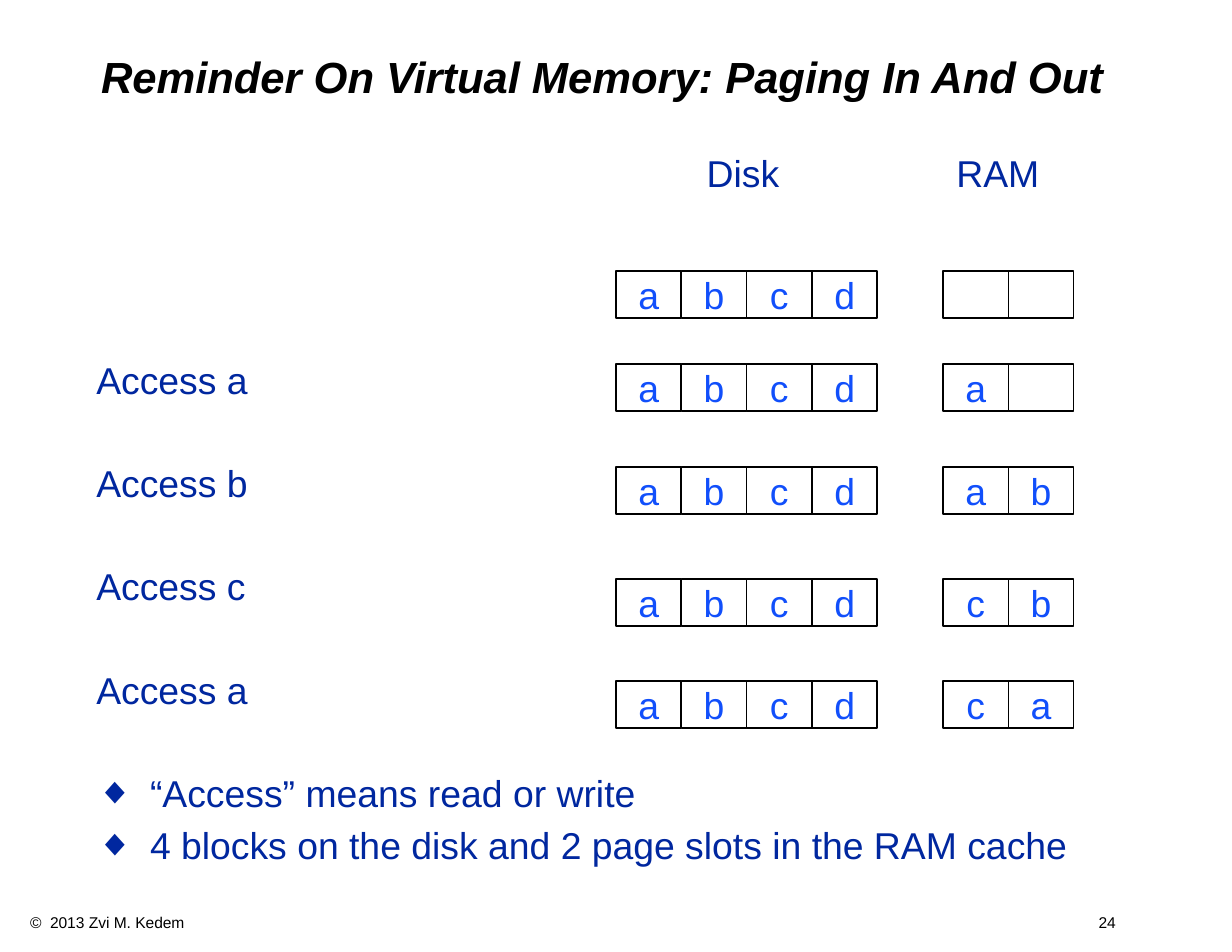
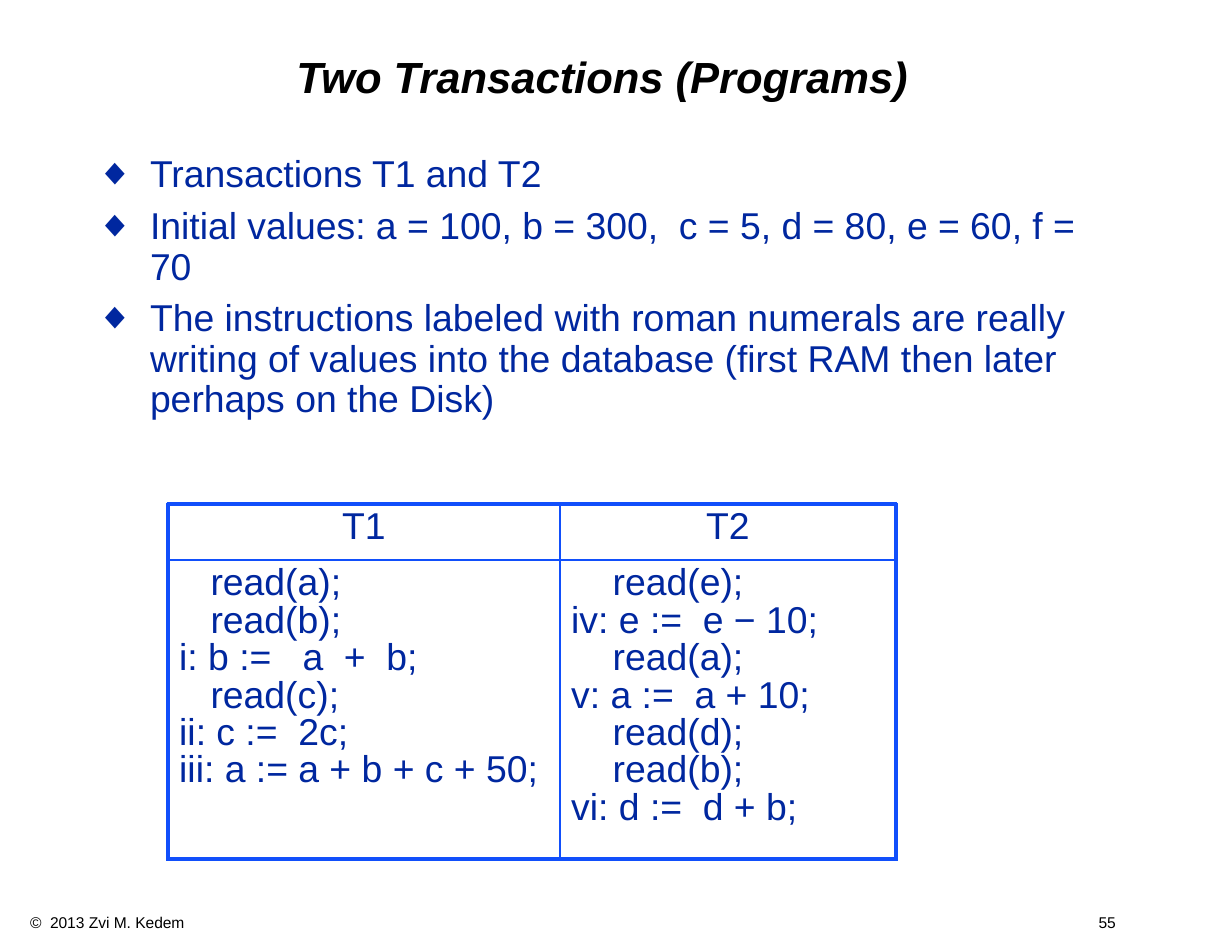
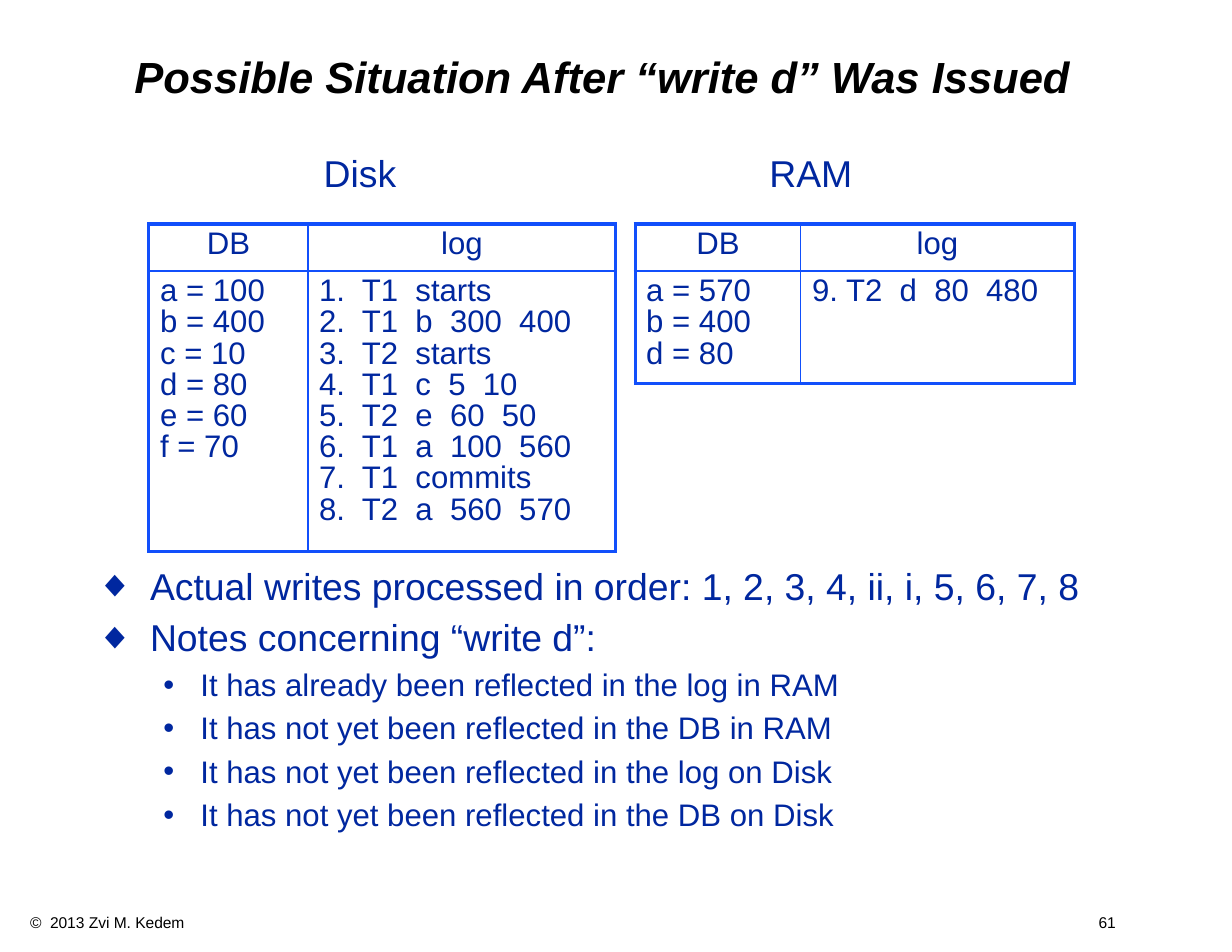
from lxml.etree import SubElement
from pptx import Presentation
from pptx.dml.color import RGBColor
from pptx.enum.shapes import MSO_SHAPE
from pptx.enum.text import MSO_ANCHOR, PP_ALIGN
from pptx.oxml.ns import qn
from pptx.util import Inches, Pt

BLACK, NAVY, BLUE = "000000", "00279F", "114FFB"
BODY_PITCH = 33.1
MARGINS = {"margin_left": 0.11, "margin_right": 0.11, "margin_top": 0.06, "margin_bottom": 0.06}
TITLE = {"size": Pt(28), "bold": True, "italic": True}
KINDS = {
    "plain": {"size": 24, "before": 7.4, "level": 0, "left": 0, "hang": 0, "bullet": None},
    "point": {"size": 24, "before": 7.4, "level": 0, "left": 0.48, "hang": 0.48, "bullet": "◆"},
    "detail": {"size": 20, "before": 6.2, "level": 1, "left": 0.93, "hang": 0.33, "bullet": "•"},
}


def write(para, text, color, font, tabs=(), **layout):
    for name, value in layout.items():
        setattr(para, name, value)
    span = para.add_run()
    span.text = text
    span.font.name = "Arial"
    span.font.color.rgb = RGBColor.from_string(color)
    for name, value in font.items():
        setattr(span.font, name, value)
    if tabs:
        stops = SubElement(para._p.get_or_add_pPr(), qn("a:tabLst"))
        for position in tabs:
            SubElement(stops, qn("a:tab"), pos=str(Inches(position)), algn="l")


def add_frame(page, left, top, width, height, margins):
    box = page.shapes.add_textbox(Inches(left), Inches(top), Inches(width), Inches(height))
    frame = box.text_frame
    frame.word_wrap = True
    for name, value in margins.items():
        setattr(frame, name, Inches(value))
    return frame


pages = [
    {
        "title": "Reminder On Virtual Memory: Paging In And Out",
        "number": 24,
        "tabs": (5.45, 7.68),
        "body": [
            ("plain", 0, "\tDisk\tRAM"),
            ("plain", 3, "Access a"),
            ("plain", 1, "Access b"),
            ("plain", 1, "Access c"),
            ("plain", 1, "Access a"),
            ("point", 1, "“Access” means read or write"),
            ("point", 0, "4 blocks on the disk and 2 page slots in the RAM cache"),
        ],
        "memory": [(2.42, " "), (3.25, "a "), (4.17, "ab"), (5.17, "cb"), (6.08, "ca")],
        "tables": [],
    },
    {
        "title": "Two Transactions (Programs)",
        "number": 55,
        "tabs": (),
        "body": [
            ("point", 0, "Transactions T1 and T2"),
            ("point", 0, "Initial values: a = 100, b = 300,  c = 5, d = 80, e = 60, f = 70"),
            ("point", 0, "The instructions labeled with roman numerals are really writing of values "
                         "into the database (first RAM then later perhaps on the Disk)"),
        ],
        "memory": [],
        "tables": [
            {
                "at": (1.5, 4.5), "columns": (3.5, 3), "rows": (0.5, 2.67), "size": 24,
                "indents": (0.28, 0.37), "headings": ("T1", "T2"),
                "cells": (
                    ["read(a);", "read(b);", "i: b :=   a  +  b;", "read(c);", "ii: c :=  2c;",
                     "iii: a := a + b + c + 50;"],
                    ["read(e);", "iv: e :=  e − 10;", "read(a);", "v: a :=  a + 10;", "read(d);",
                     "read(b);", "vi: d :=  d + b;"],
                ),
            },
        ],
    },
    {
        "title": "Possible Situation After “write d” Was Issued",
        "number": 61,
        "tabs": (2.03, 6.01),
        "body": [
            ("plain", 0, "\tDisk\tRAM"),
            ("point", 7, "Actual writes processed in order: 1, 2, 3, 4, ii, i, 5, 6, 7, 8"),
            ("point", 0, "Notes concerning “write d”:"),
            ("detail", 0, "It has already been reflected in the log in RAM"),
            ("detail", 0, "It has not yet been reflected in the DB in RAM"),
            ("detail", 0, "It has not yet been reflected in the log on Disk"),
            ("detail", 0, "It has not yet been reflected in the DB on Disk"),
        ],
        "memory": [],
        "tables": [
            {
                "at": (5.67, 2), "columns": (1.48, 2.44), "rows": (0.42, 0.96), "size": 20,
                "indents": (0, 0), "headings": ("DB", "log"),
                "cells": (["a = 570", "b = 400", "d = 80"], ["9. T2  d  80  480"]),
            },
            {
                "at": (1.33, 2), "columns": (1.42, 2.75), "rows": (0.42, 2.34), "size": 20,
                "indents": (0, 0), "headings": ("DB", "log"),
                "cells": (
                    ["a = 100", "b = 400", "c = 10", "d = 80", "e = 60", "f = 70"],
                    ["1.  T1  starts", "2.  T1  b  300  400", "3.  T2  starts", "4.  T1  c  5  10",
                     "5.  T2  e  60  50", "6.  T1  a  100  560", "7.  T1  commits",
                     "8.  T2  a  560  570"],
                ),
            },
        ],
    },
]

deck = Presentation()
deck.slide_width, deck.slide_height = Inches(11), Inches(8.5)

for content in pages:
    page = deck.slides.add_slide(deck.slide_layouts[6])

    footer = add_frame(page, 0.17, 8.1, 10.34, 0.27, {})
    write(footer.paragraphs[0], f"©  2013 Zvi M. Kedem\t{content['number']}", BLACK,
          {"size": Pt(10)}, tabs=(9.54,))

    title = add_frame(page, 0.75, 0.25, 9.25, 0.92, MARGINS)
    title.vertical_anchor = MSO_ANCHOR.MIDDLE
    write(title.paragraphs[0], content["title"], BLACK, TITLE,
          alignment=PP_ALIGN.CENTER, line_spacing=0.9)

    body = add_frame(page, 0.75, 1.33, 9.33, 6.67, MARGINS)
    for index, (kind, skipped, text) in enumerate(content["body"]):
        style = KINDS[kind]
        para = body.add_paragraph() if index else body.paragraphs[0]
        write(para, text, NAVY, {"size": Pt(style["size"])},
              tabs=content["tabs"] if "\t" in text else (), level=style["level"],
              line_spacing=0.9, space_before=Pt(style["before"] + skipped * BODY_PITCH))
        if style["bullet"]:
            properties = para._p.get_or_add_pPr()
            properties.set("marL", str(Inches(style["left"])))
            properties.set("indent", str(-Inches(style["hang"])))
            SubElement(SubElement(properties, qn("a:buClr")), qn("a:srgbClr"), val=NAVY)
            SubElement(properties, qn("a:buFont"), typeface="Arial")
            SubElement(properties, qn("a:buChar"), char=style["bullet"])

    for top, cached in content["memory"]:
        for start, blocks in ((5.5, "abcd"), (8.42, cached.ljust(2))):
            for column, block in enumerate(blocks):
                slot = page.shapes.add_shape(MSO_SHAPE.RECTANGLE, Inches(start + column * 7 / 12),
                                             Inches(top), Inches(7 / 12), Inches(0.42))
                slot.shadow.inherit = False
                slot.fill.background()
                slot.line.color.rgb = RGBColor.from_string(BLACK)
                slot.line.width = Pt(1)
                if block != " ":
                    slot.text_frame.word_wrap = False
                    slot.text_frame.vertical_anchor = MSO_ANCHOR.MIDDLE
                    write(slot.text_frame.paragraphs[0], block, BLUE, {"size": Pt(24)},
                          alignment=PP_ALIGN.CENTER)

    for grid in content["tables"]:
        left, top = grid["at"]
        table = page.shapes.add_table(2, 2, Inches(left), Inches(top), Inches(sum(grid["columns"])),
                                      Inches(sum(grid["rows"]))).table
        table.first_row = table.horz_banding = False
        for index in range(2):
            table.columns[index].width = Inches(grid["columns"][index])
            table.rows[index].height = Inches(grid["rows"][index])
        for row in range(2):
            for column in range(2):
                cell = table.cell(row, column)
                lines = grid["cells"][column] if row else [grid["headings"][column]]
                for index, text in enumerate(lines):
                    para = cell.text_frame.add_paragraph() if index else cell.text_frame.paragraphs[0]
                    write(para, text, NAVY, {"size": Pt(grid["size"])}, line_spacing=0.9,
                          alignment=PP_ALIGN.LEFT if row else PP_ALIGN.CENTER)
                    if text.startswith("read"):
                        para._p.get_or_add_pPr().set("marL", str(Inches(grid["indents"][column])))
                outer = {"L": column == 0, "R": column == 1, "T": row == 0, "B": row == 1}
                for side, is_outer in outer.items():
                    border = SubElement(cell._tc.get_or_add_tcPr(), qn(f"a:ln{side}"),
                                        w=str(Pt(2.25 if is_outer else 1)))
                    SubElement(SubElement(border, qn("a:solidFill")), qn("a:srgbClr"), val=BLUE)
                cell.fill.background()

deck.save("out.pptx")
